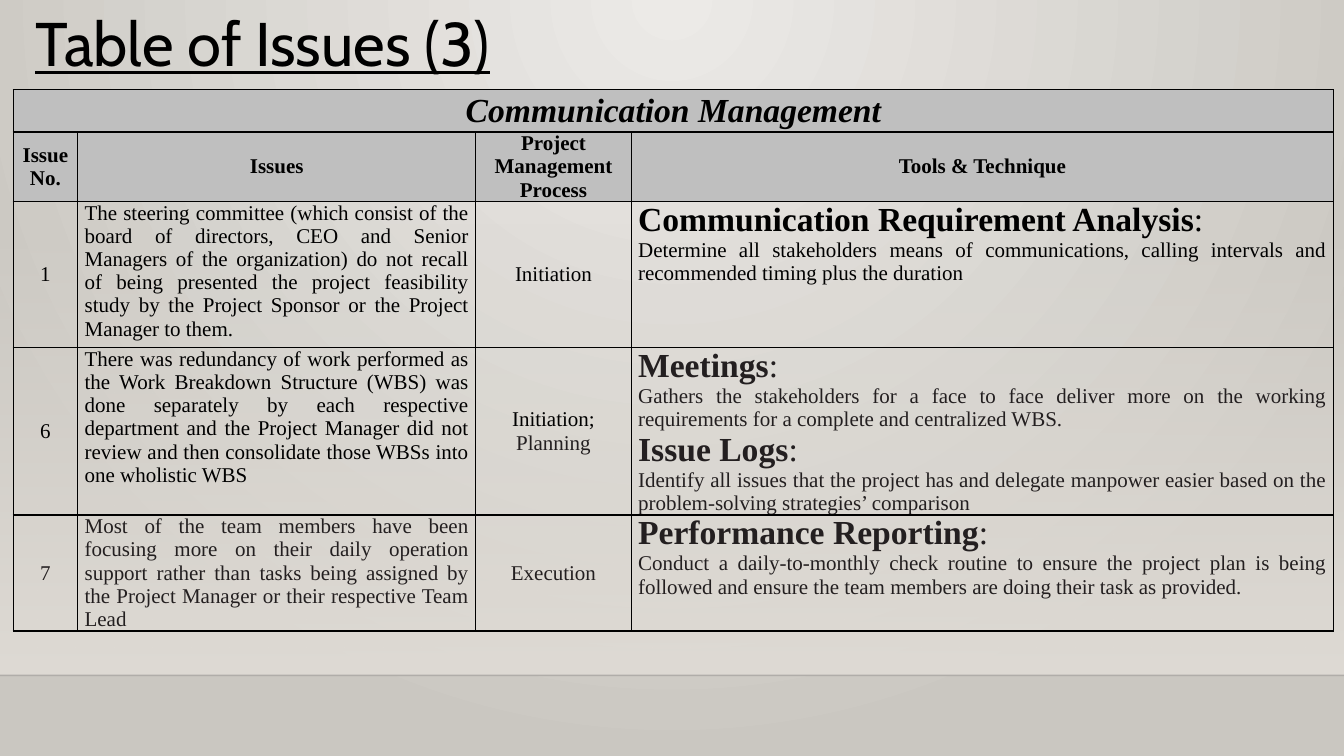
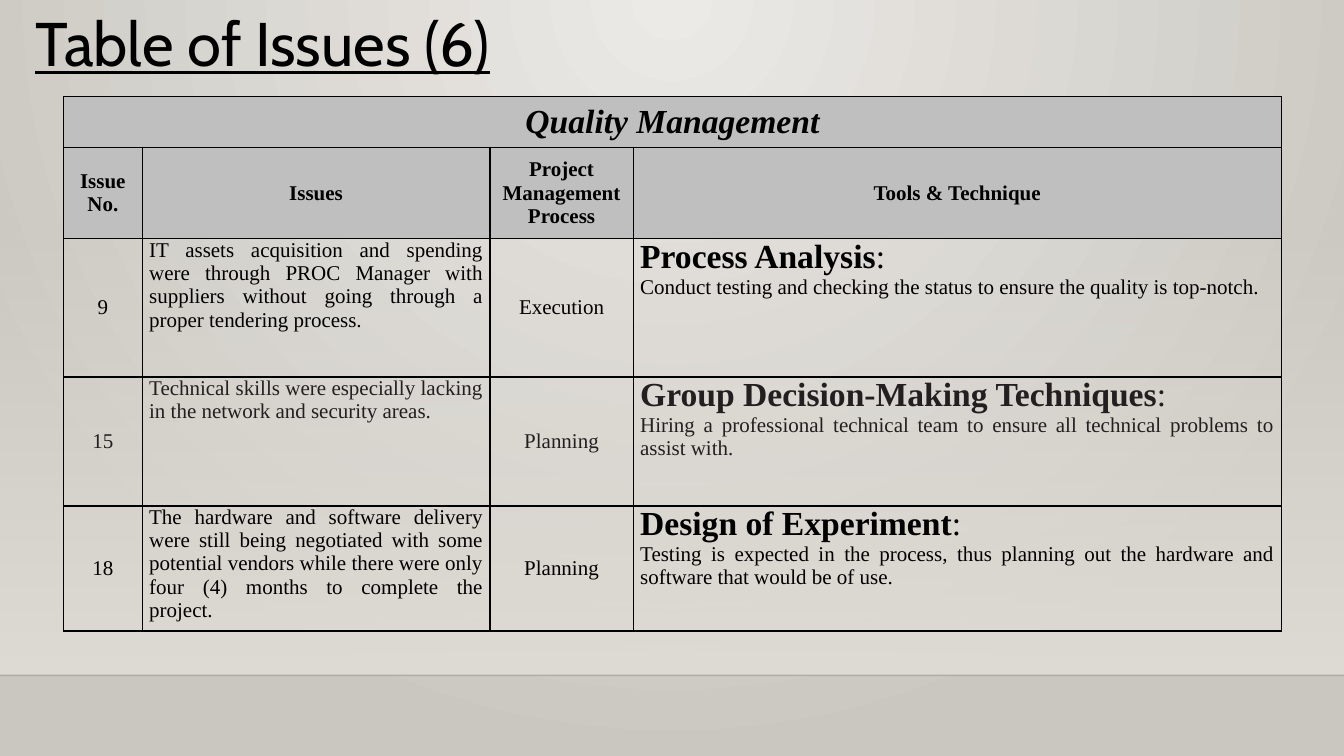
from dataclasses import dataclass

from lxml.etree import SubElement
from pptx import Presentation
from pptx.dml.color import RGBColor
from pptx.enum.shapes import MSO_CONNECTOR, MSO_SHAPE
from pptx.enum.text import MSO_ANCHOR, MSO_AUTO_SIZE, PP_ALIGN
from pptx.oxml.ns import qn
from pptx.util import Inches, Pt

BLACK = "000000"
CHARCOAL = "231F20"
HEADER_FILL = "BFBFBF"
RULE = "000001"
GLOW = [(0, "ECEAE7", 100), (100, "CAC7C1", 100)]
WALL = [(0, "DFDBD5", 0), (100, "DFDBD5", 100)]
TITLE_FONT = "Cabin"
TABLE_FONT = "Times New Roman"
WIDTH, HEIGHT = 13.33, 7.5
WALL_TOP, FLOOR_TOP = 2.21, 6.7
HEADINGS = ("Issue No.", "Issues", "Project Management Process", "Tools & Technique")


@dataclass
class Issue:
    """One table row; last_ink colours the last process and the techniques."""
    number: int
    problem: str
    processes: tuple[str, ...]
    techniques: tuple[tuple[str, str], ...]
    first_ink: str = BLACK
    last_ink: str = BLACK


@dataclass
class IssuePage:
    """A titled page with one table of issues."""
    title: str
    area: str
    left: float
    top: float
    columns: tuple[float, ...]
    rows: tuple[float, ...]
    issues: tuple[Issue, ...]


PAGES = (
    IssuePage(
        "Table of Issues (3)", "Communication Management", 0.13, 0.89,
        (0.64, 3.95, 1.54, 6.97), (0.42, 0.69, 1.45, 1.66, 1.15),
        (
            Issue(1, "The steering committee (which consist of the board of directors, CEO and "
                  "Senior Managers of the organization) do not recall of being presented the "
                  "project feasibility study by the Project Sponsor or the Project Manager to them.",
                  ("Initiation",),
                  (("Communication Requirement Analysis",
                    "Determine all stakeholders means of communications, calling intervals and "
                    "recommended timing plus the duration"),)),
            Issue(6, "There was redundancy of work performed as the Work Breakdown Structure (WBS) "
                  "was done separately by each respective department and the Project Manager did "
                  "not review and then consolidate those WBSs into one wholistic WBS",
                  ("Initiation;", "Planning"),
                  (("Meetings",
                    "Gathers the stakeholders for a face to face deliver more on the working "
                    "requirements for a complete and centralized WBS."),
                   ("Issue Logs",
                    "Identify all issues that the project has and delegate manpower easier based "
                    "on the problem-solving strategies’ comparison")),
                  last_ink=CHARCOAL),
            Issue(7, "Most of the team members have been focusing more on their daily operation "
                  "support rather than tasks being assigned by the Project Manager or their "
                  "respective Team Lead",
                  ("Execution",),
                  (("Performance Reporting",
                    "Conduct a daily-to-monthly check routine to ensure the project plan is being "
                    "followed and ensure the team members are doing their task as provided."),),
                  CHARCOAL, CHARCOAL),
        )),
    IssuePage(
        "Table of Issues (6)", "Quality Management", 0.63, 0.96,
        (0.78, 3.45, 1.42, 6.43), (0.5, 0.91, 1.37, 1.28, 1.24),
        (
            Issue(9, "IT assets acquisition and spending were through PROC Manager with suppliers "
                  "without going through a proper tendering process.",
                  ("Execution",),
                  (("Process Analysis",
                    "Conduct testing and checking the status to ensure the quality is "
                    "top-notch."),)),
            Issue(15, "Technical skills were especially lacking in the network and security areas.",
                  ("Planning",),
                  (("Group Decision-Making Techniques",
                    "Hiring a professional technical team to ensure all technical problems to "
                    "assist with."),),
                  CHARCOAL, CHARCOAL),
            Issue(18, "The hardware and software delivery were still being negotiated with some "
                  "potential vendors while there were only four (4) months to complete the project.",
                  ("Planning",),
                  (("Design of Experiment",
                    "Testing is expected in the process, thus planning out the hardware and "
                    "software that would be of use."),)),
        )),
)


def color(value: str) -> RGBColor:
    """Turn a hex string into a colour."""
    return RGBColor.from_string(value)


def add_color(parent, value: str, opacity: int = 100) -> None:
    """Append a colour element with an opacity in percent."""
    swatch = SubElement(parent, qn("a:srgbClr"), val=value)
    if opacity < 100:
        SubElement(swatch, qn("a:alpha"), val=str(opacity * 1000))


def set_stops(holder, stops: list):
    """Rewrite the gradient inside an element and return it."""
    gradient = holder.find(".//" + qn("a:gradFill"))
    for child in list(gradient):
        gradient.remove(child)
    stop_list = SubElement(gradient, qn("a:gsLst"))
    for position, value, opacity in stops:
        add_color(SubElement(stop_list, qn("a:gs"), pos=str(position * 1000)), value, opacity)
    return gradient


def write_text(para, text: str, *, size: float = 15, font: str = TABLE_FONT, ink: str = BLACK,
               bold: bool = False, italic: bool = False, underline: bool = False) -> None:
    """Add one formatted span to a paragraph."""
    span = para.add_run()
    span.text = text
    span.font.size = Pt(size)
    span.font.name = font
    span.font.color.rgb = color(ink)
    span.font.bold = bold
    span.font.italic = italic
    span.font.underline = underline


def next_para(frame, align: PP_ALIGN):
    """Return the empty first paragraph, or a new one, aligned."""
    first = frame.paragraphs[0]
    para = frame.add_paragraph() if first.runs else first
    para.alignment = align
    return para


def draw_backdrop(page) -> None:
    """Paint the glowing background, the wall and the floor line."""
    page.background.fill.gradient()
    glow = set_stops(page.background._cSld, GLOW)
    circle = SubElement(glow, qn("a:path"), path="circle")
    SubElement(circle, qn("a:fillToRect"), l="43000", t="0", r="43000", b="100000")

    wall = page.shapes.add_shape(MSO_SHAPE.RECTANGLE, 0, Inches(WALL_TOP),
                                 Inches(WIDTH), Inches(FLOOR_TOP - WALL_TOP))
    wall.shadow.inherit = False
    wall.line.fill.background()
    wall.fill.gradient()
    SubElement(set_stops(wall.element, WALL), qn("a:lin"), ang="5400000", scaled="0")

    floor = page.shapes.add_connector(MSO_CONNECTOR.STRAIGHT, 0, Inches(FLOOR_TOP),
                                      Inches(WIDTH), Inches(FLOOR_TOP))
    floor.line.width = Pt(1)
    floor.line.color.rgb = color(RULE)
    swatch = floor.element.spPr.find(".//" + qn("a:srgbClr"))
    SubElement(swatch, qn("a:alpha"), val="20000")
    SubElement(floor.element.spPr, qn("a:effectLst"))


def draw_title(page, title: str) -> None:
    """Write the underlined page title."""
    box = page.shapes.add_textbox(Inches(0.25), 0, Inches(11.16), Inches(0.84))
    box.text_frame.word_wrap = True
    box.text_frame.auto_size = MSO_AUTO_SIZE.SHAPE_TO_FIT_TEXT
    write_text(box.text_frame.paragraphs[0], title, size=44, font=TITLE_FONT, underline=True)


def style_cell(cell, fill: str | None, anchor: MSO_ANCHOR) -> None:
    """Set the borders, insets, anchor and fill of a cell."""
    properties = cell._tc.get_or_add_tcPr()
    for side in ("lnL", "lnR", "lnT", "lnB"):
        border = SubElement(properties, qn("a:" + side), w=str(Pt(1)))
        add_color(SubElement(border, qn("a:solidFill")), BLACK)
    cell.margin_left = cell.margin_right = Inches(0.07)
    cell.margin_top = cell.margin_bottom = 0
    cell.vertical_anchor = anchor
    if fill:
        cell.fill.solid()
        cell.fill.fore_color.rgb = color(fill)
    else:
        cell.fill.background()


def fill_issue(cells: list, issue: Issue) -> None:
    """Write one issue into the four cells of its row."""
    number, problem, process, technique = [cell.text_frame for cell in cells]
    write_text(next_para(number, PP_ALIGN.CENTER), str(issue.number), ink=issue.first_ink)
    write_text(next_para(problem, PP_ALIGN.JUSTIFY), issue.problem, ink=issue.first_ink)
    for name in issue.processes:
        ink = issue.last_ink if name == issue.processes[-1] else issue.first_ink
        write_text(next_para(process, PP_ALIGN.CENTER), name, ink=ink)
    for name, detail in issue.techniques:
        heading = next_para(technique, PP_ALIGN.JUSTIFY)
        write_text(heading, name, size=24, bold=True, ink=issue.last_ink)
        write_text(heading, ":", size=24, ink=issue.last_ink)
        write_text(next_para(technique, PP_ALIGN.JUSTIFY), detail, ink=issue.last_ink)


def draw_table(page, content: IssuePage) -> None:
    """Draw the table with its area, headings and issues."""
    table = page.shapes.add_table(
        len(content.rows), len(content.columns), Inches(content.left), Inches(content.top),
        Inches(sum(content.columns)), Inches(sum(content.rows))).table
    table.first_row = table.horz_banding = False
    for column, width in zip(table.columns, content.columns):
        column.width = Inches(width)
    for index, (row, height) in enumerate(zip(table.rows, content.rows)):
        row.height = Inches(height)
        for position, cell in enumerate(row.cells):
            is_body = index > 1
            is_prose = is_body and position in (1, 3)
            style_cell(cell, None if is_body else HEADER_FILL,
                       MSO_ANCHOR.TOP if is_prose else MSO_ANCHOR.MIDDLE)

    area = table.cell(0, 0)
    area.merge(table.cell(0, len(content.columns) - 1))
    write_text(next_para(area.text_frame, PP_ALIGN.CENTER), content.area,
               size=24, bold=True, italic=True)
    for cell, heading in zip(table.rows[1].cells, HEADINGS):
        write_text(next_para(cell.text_frame, PP_ALIGN.CENTER), heading, bold=True)
    for index, issue in enumerate(content.issues, start=2):
        fill_issue(list(table.rows[index].cells), issue)


def build_deck() -> None:
    """Build and save the whole deck."""
    deck = Presentation()
    deck.slide_width, deck.slide_height = Inches(WIDTH), Inches(HEIGHT)
    for content in PAGES:
        page = deck.slides.add_slide(deck.slide_layouts[6])
        draw_backdrop(page)
        draw_table(page, content)
        draw_title(page, content.title)
    deck.save("out.pptx")


build_deck()
